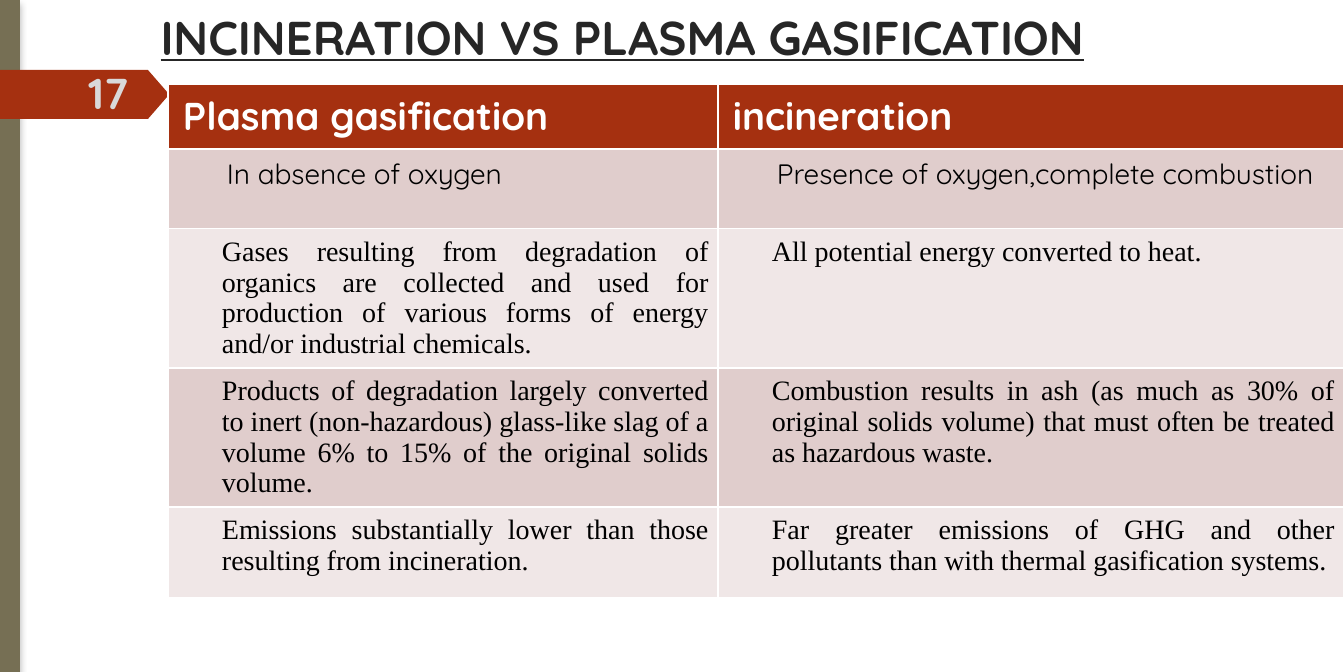
"""Build the slide comparing plasma gasification with incineration."""
from lxml import etree
from pptx import Presentation
from pptx import util as u
from pptx.dml.color import RGBColor
from pptx.enum import shapes, text
from pptx.oxml.ns import qn

PX = 5892
COLORS = {"olive": "766F54", "rust": "A53010", "ink": "262626", "pale": "D9D9D9",
          "white": "FFFFFF", "black": "000000", "rose": "E0CDCC", "blush": "F0E7E7"}
ROWS = [
    ("Plasma gasification", "incineration"),
    ("In absence of oxygen", "Presence of oxygen,complete combustion"),
    ("Gases resulting from degradation of organics are collected and used for "
     "production of various forms of energy and/or industrial chemicals.",
     "All potential energy converted to heat."),
    ("Products of degradation largely converted to inert (non-hazardous) glass-like "
     "slag of a volume 6% to 15% of the original solids volume.",
     "Combustion results in ash (as much as 30% of original solids volume) that must "
     "often be treated as hazardous waste."),
    ("Emissions substantially lower than those resulting from incineration.",
     "Far greater emissions of GHG and other pollutants than with thermal "
     "gasification systems."),
]
ROW_HEIGHTS = [63, 80, 139, 139, 91]
COLUMN_WIDTHS = [550, 626]


def box(*lengths):
    return [length * PX for length in lengths]


def write(frame, words, size, color, font="Quicksand", bold=False, underline=False,
          align=text.PP_ALIGN.LEFT, indent=0):
    paragraph = frame.paragraphs[0]
    paragraph.alignment = align
    if indent:
        properties = paragraph._p.get_or_add_pPr()
        properties.set("marL", str(indent * PX))
        properties.set("indent", "0")
    run = paragraph.add_run()
    run.text = words
    run.font.name, run.font.size = font, u.Pt(size)
    run.font.bold, run.font.underline = bold, underline
    run.font.color.rgb = RGBColor.from_string(COLORS[color])


deck = Presentation()
deck.slide_width, deck.slide_height = box(1344, 672)
slide = deck.slides.add_slide(deck.slide_layouts[5])

side_bar = slide.shapes.add_shape(shapes.MSO_SHAPE.RECTANGLE, *box(0, 0, 20, 672))
outline = slide.shapes.build_freeform(0, 70, scale=PX)
outline.add_line_segments([(148, 70), (168, 93), (168, 96), (148, 119), (0, 119)])
number_flag = outline.convert_to_shape()
for decoration, color in ((side_bar, "olive"), (number_flag, "rust")):
    decoration.shadow.inherit = False
    decoration.fill.solid()
    decoration.fill.fore_color.rgb = RGBColor.from_string(COLORS[color])
    decoration.line.fill.background()

effects = side_bar._element.spPr.find(qn("a:effectLst"))
shade = etree.SubElement(effects, qn("a:outerShdw"), blurRad=str(u.Pt(3)),
                         dist=str(u.Pt(2)), dir="5400000", rotWithShape="0")
shade_color = etree.SubElement(shade, qn("a:srgbClr"), val=COLORS["black"])
etree.SubElement(shade_color, qn("a:alpha"), val="24000")

title = slide.shapes.title
title.left, title.top, title.width, title.height = box(145, 0, 1023, 82)
title.text_frame.vertical_anchor = text.MSO_ANCHOR.TOP
title.text_frame.auto_size = text.MSO_AUTO_SIZE.NONE
write(title.text_frame, "INCINERATION VS PLASMA GASIFICATION", 22, "ink",
      bold=True, underline=True)

comparison = slide.shapes.add_table(
    len(ROWS), len(COLUMN_WIDTHS),
    *box(168, 84, sum(COLUMN_WIDTHS), sum(ROW_HEIGHTS))).table
comparison.first_row = True
comparison.horz_banding = False
for column, width in zip(comparison.columns, COLUMN_WIDTHS):
    column.width = width * PX
for r, (height, entries) in enumerate(zip(ROW_HEIGHTS, ROWS)):
    comparison.rows[r].height = height * PX
    for c, words in enumerate(entries):
        cell = comparison.cell(r, c)
        cell.margin_left = cell.margin_right = (15 if r < 2 else 10) * PX
        cell.margin_top = cell.margin_bottom = 8 * PX
        for side in ("a:lnL", "a:lnR", "a:lnT", "a:lnB"):
            border = etree.SubElement(cell._tc.get_or_add_tcPr(), qn(side), w="12192")
            paint = etree.SubElement(border, qn("a:solidFill"))
            etree.SubElement(paint, qn("a:srgbClr"), val=COLORS["white"])
        cell.fill.solid()
        band = "rust" if r == 0 else ("blush", "rose")[r % 2]
        cell.fill.fore_color.rgb = RGBColor.from_string(COLORS[band])
        if r == 0:
            write(cell.text_frame, words, 18, "white", bold=True)
        elif r == 1:
            write(cell.text_frame, words, 13, "black", indent=44)
        else:
            write(cell.text_frame, words, 13, "black", font="Times New Roman",
                  align=text.PP_ALIGN.JUSTIFY, indent=44)

page_number = slide.shapes.add_textbox(*box(0, 30, 144, 125)).text_frame
page_number.word_wrap = True
page_number.vertical_anchor = text.MSO_ANCHOR.MIDDLE
write(page_number, "17", 20, "pale", bold=True, align=text.PP_ALIGN.RIGHT)

deck.save("out.pptx")
